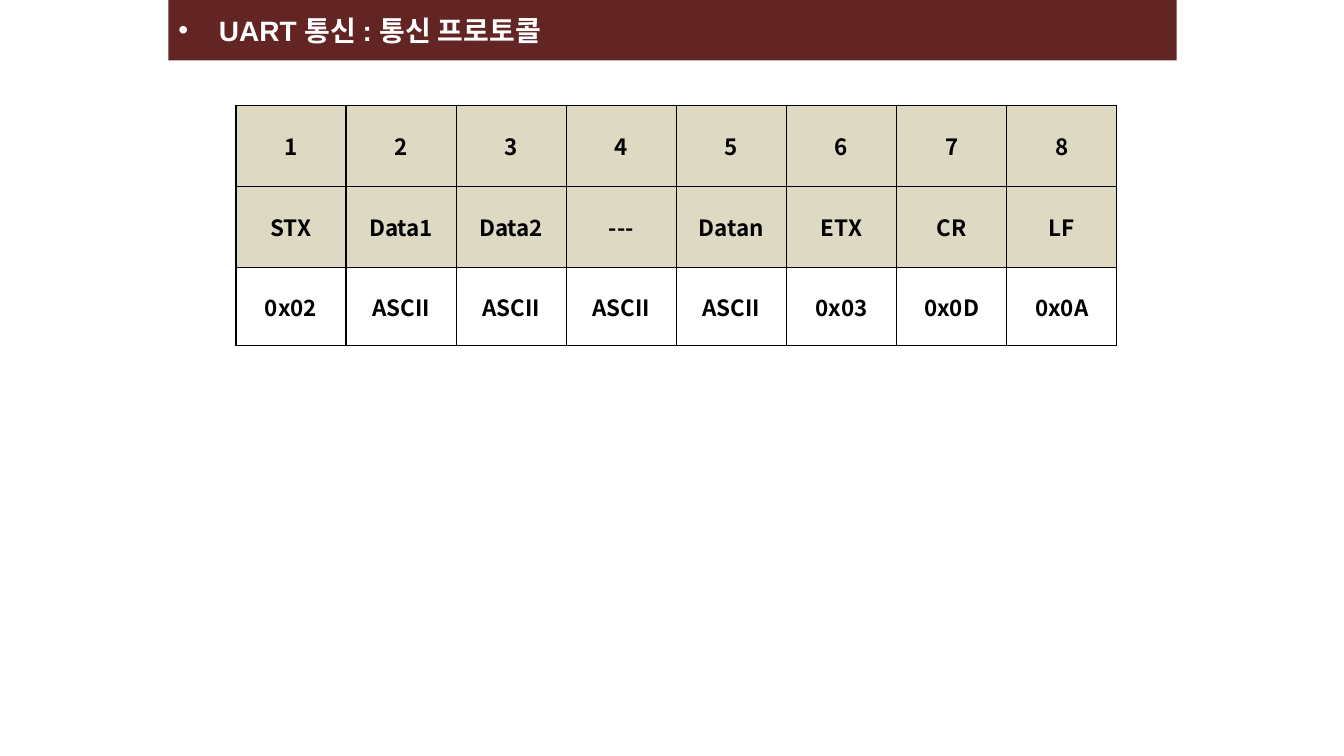
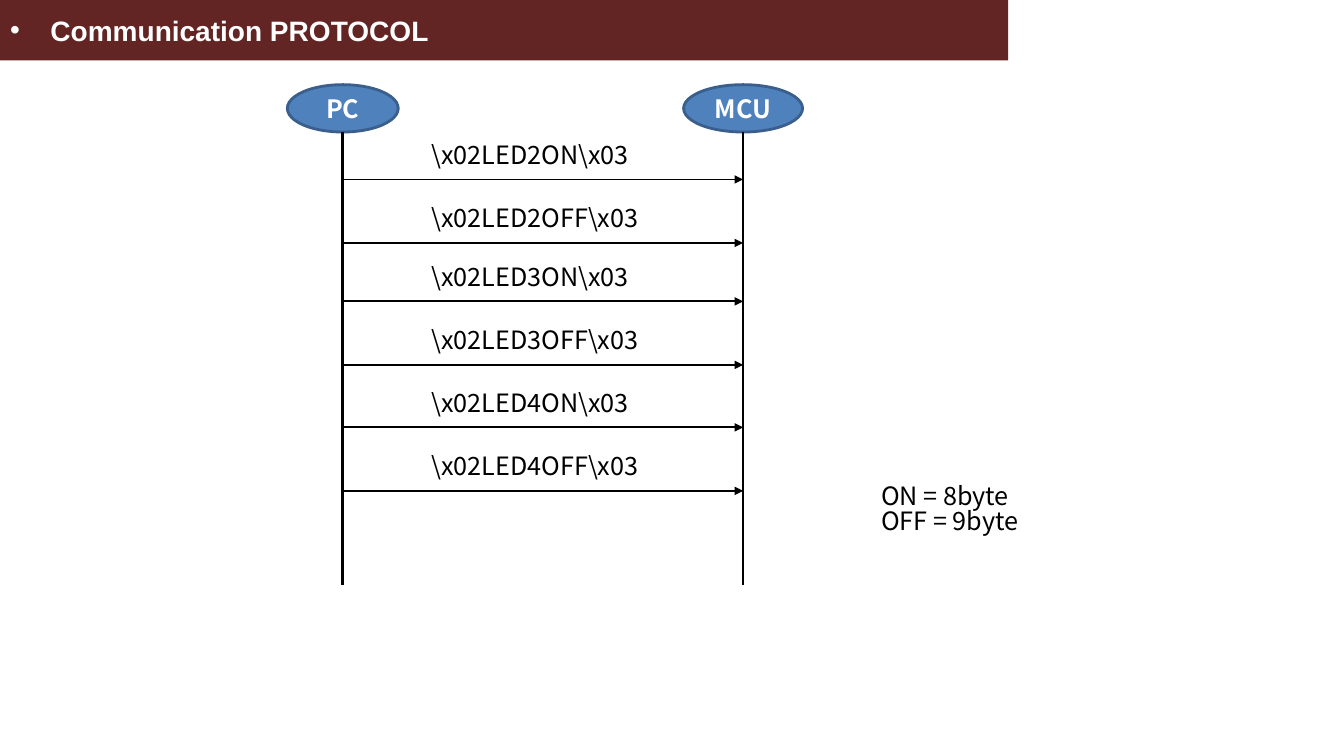
from lxml import etree
from pptx import Presentation
from pptx.dml.color import RGBColor
from pptx.enum.shapes import MSO_CONNECTOR, MSO_SHAPE
from pptx.enum.text import MSO_ANCHOR, PP_ALIGN
from pptx.oxml import parse_xml
from pptx.oxml.ns import nsdecls, qn
from pptx.util import Inches, Pt

LINE = MSO_CONNECTOR.STRAIGHT
OVAL = MSO_SHAPE.OVAL
MIDDLE = MSO_ANCHOR.MIDDLE
LEFT, CENTER = PP_ALIGN.LEFT, PP_ALIGN.CENTER

SANS = "Noto Sans CJK KR"
BLACK, WHITE = "000000", "FFFFFF"
MAROON, TAN = "632523", "DDD9C3"
BLUE, NAVY = "4F81BD", "3A5F8C"

TITLE = {"name": "Arial", "size": Pt(20), "bold": True}
NODE = {"name": SANS, "size": Pt(18), "bold": True}
LABEL = {"name": SANS, "size": Pt(18), "bold": False}
CELL = {"name": SANS, "size": Pt(16), "bold": True}


def rgb(code):
    return RGBColor.from_string(code)


def write(frame, text, style, color, align=LEFT, space=None):
    """Fill a text frame, one paragraph for each line of text."""
    frame.text = text
    frame.word_wrap = True
    for para in frame.paragraphs:
        para.alignment = align
        para.line_spacing = space
        for run in para.runs:
            for key, value in style.items():
                setattr(run.font, key, value)
            run.font.color.rgb = rgb(color)
            props = run._r.get_or_add_rPr()
            etree.SubElement(props, qn("a:ea")).set("typeface", SANS)


prs = Presentation()
prs.slide_width, prs.slide_height = Inches(13.33), Inches(7.5)

# Title bands
slides = []
for text, left in [("UART 통신 : 통신 프로토콜", 1.67),
                   ("Communication PROTOCOL", 0)]:
    slide = prs.slides.add_slide(prs.slide_layouts[5])
    band = slide.shapes.title
    band.left, band.top = Inches(left), 0
    band.width, band.height = Inches(10), Inches(0.6)
    band.fill.solid()
    band.fill.fore_color.rgb = rgb(MAROON)
    write(band.text_frame, text, TITLE, WHITE)
    band.text_frame.vertical_anchor = MIDDLE
    props = band.text_frame.paragraphs[0]._p.get_or_add_pPr()
    props.set("marL", str(Inches(0.4)))
    props.set("indent", str(-Inches(0.4)))
    etree.SubElement(props, qn("a:buFont")).set("typeface", "Arial")
    etree.SubElement(props, qn("a:buChar")).set("char", "•")
    slides.append(slide)
frame_slide, flow_slide = slides

# Frame format table
rows = [
    (0.8, TAN, ["1", "2", "3", "4", "5", "6", "7", "8"]),
    (0.8, TAN, ["STX", "Data1", "Data2", "---", "Datan", "ETX", "CR", "LF"]),
    (0.78, WHITE, ["0x02"] + ["ASCII"] * 4 + ["0x03", "0x0D", "0x0A"]),
]
table = frame_slide.shapes.add_table(
    3, 8, Inches(2.34), Inches(1.05), Inches(8.74), Inches(2.38)).table
table.first_row = table.horz_banding = False
for col in table.columns:
    col.width = Inches(8.74 / 8)
for r, (height, fill, words) in enumerate(rows):
    table.rows[r].height = Inches(height)
    for c, word in enumerate(words):
        cell = table.cell(r, c)
        cell.vertical_anchor = MIDDLE
        write(cell.text_frame, word, CELL, BLACK, CENTER)
        props = cell._tc.get_or_add_tcPr()
        for side in "LRTB":
            props.append(parse_xml(
                f'<a:ln{side} {nsdecls("a")} w="{Pt(1)}"><a:solidFill>'
                f'<a:srgbClr val="{BLACK}"/></a:solidFill></a:ln{side}>'))
        cell.fill.solid()
        cell.fill.fore_color.rgb = rgb(fill)

# Sequence diagram: nodes, lifelines and messages
shapes = flow_slide.shapes
PC, MCU = 3.4, 7.37
lines = []
for name, mid, width in [("PC", PC, 1.1), ("MCU", MCU, 1.18)]:
    node = shapes.add_shape(OVAL, Inches(mid - width / 2), Inches(0.84),
                            Inches(width), Inches(0.47))
    node.shadow.inherit = False
    node.fill.solid()
    node.fill.fore_color.rgb = rgb(BLUE)
    node.line.color.rgb = rgb(NAVY)
    node.line.width = Pt(2)
    write(node.text_frame, name, NODE, WHITE, CENTER)
    node.text_frame.vertical_anchor = MIDDLE
    lines.append((mid, 1.31, mid, 5.8, 2, False))

heights = [1.78, 2.41, 2.99, 3.62, 4.24, 4.87]
orders = [f"LED{n}{state}" for n in (2, 3, 4) for state in ("ON", "OFF")]
notes = [(4.18, y - 0.4, 2.39, 0.4, rf"\x02{order}\x03")
         for y, order in zip(heights, orders)]
notes.append((8.64, 4.77, 1.64, 0.71, "ON = 8byte\nOFF = 9byte"))
lines += [(PC, y, MCU, y, 1.25, True) for y in heights]

for *ends, weight, arrow in lines:
    line = shapes.add_connector(LINE, *map(Inches, ends))
    line.line.color.rgb = rgb(BLACK)
    line.line.width = Pt(weight)
    if arrow:
        tail = etree.SubElement(line.line._get_or_add_ln(), qn("a:tailEnd"))
        tail.set("type", "triangle")
    etree.SubElement(line._element.spPr, qn("a:effectLst"))

for *area, text in notes:
    box = shapes.add_textbox(*map(Inches, area))
    write(box.text_frame, text, LABEL, BLACK, space=0.83)

prs.save("out.pptx")
